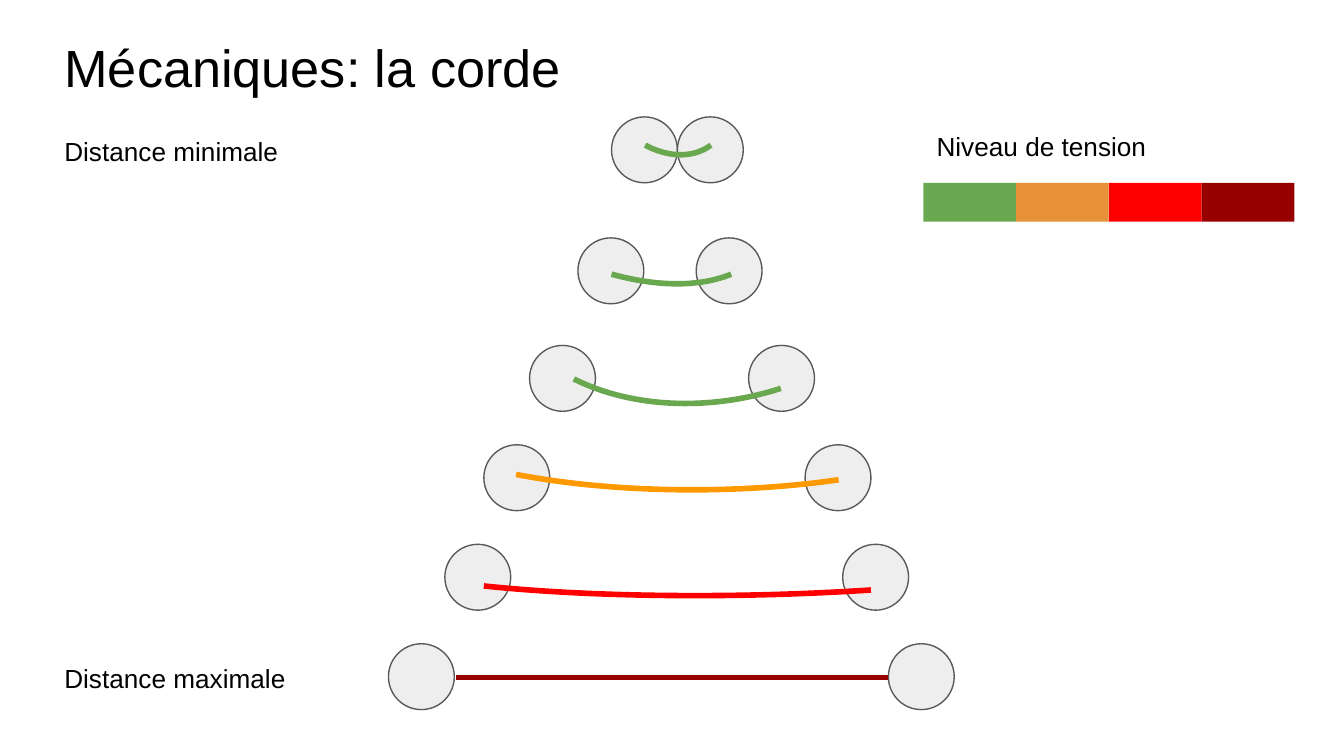
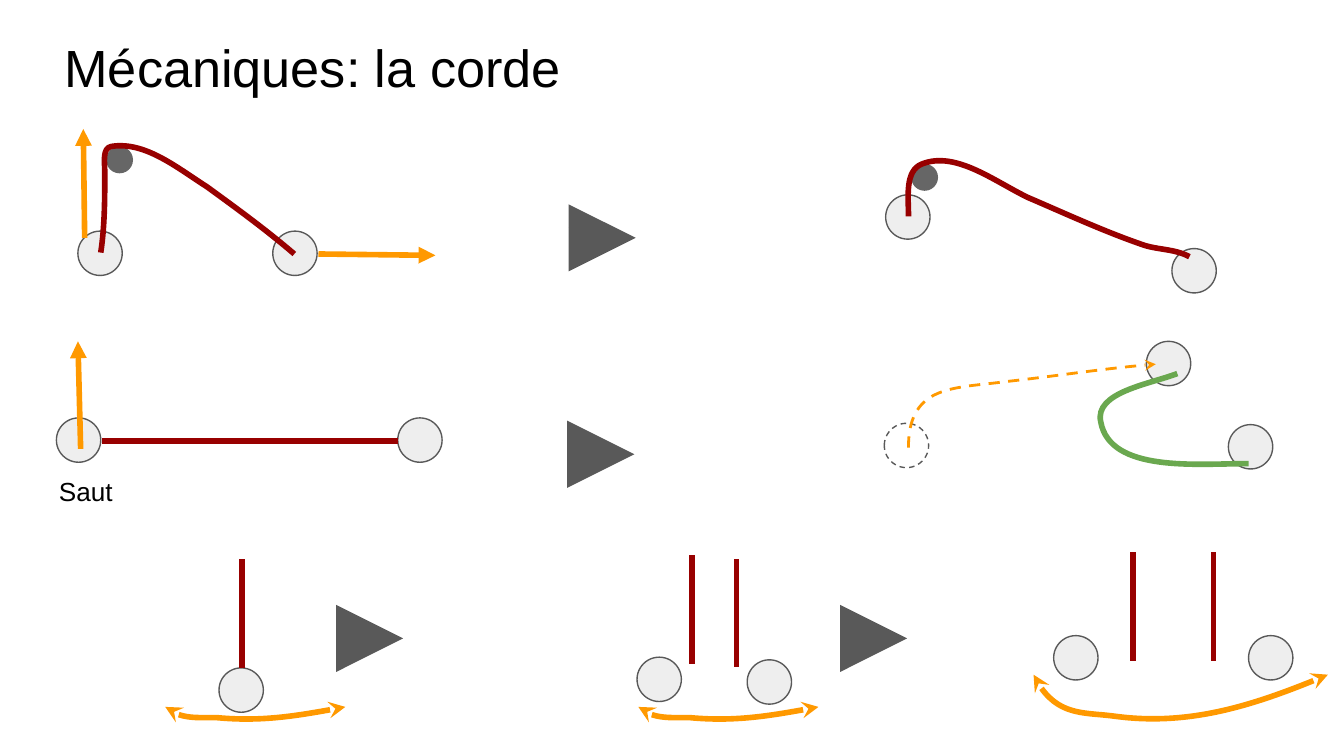
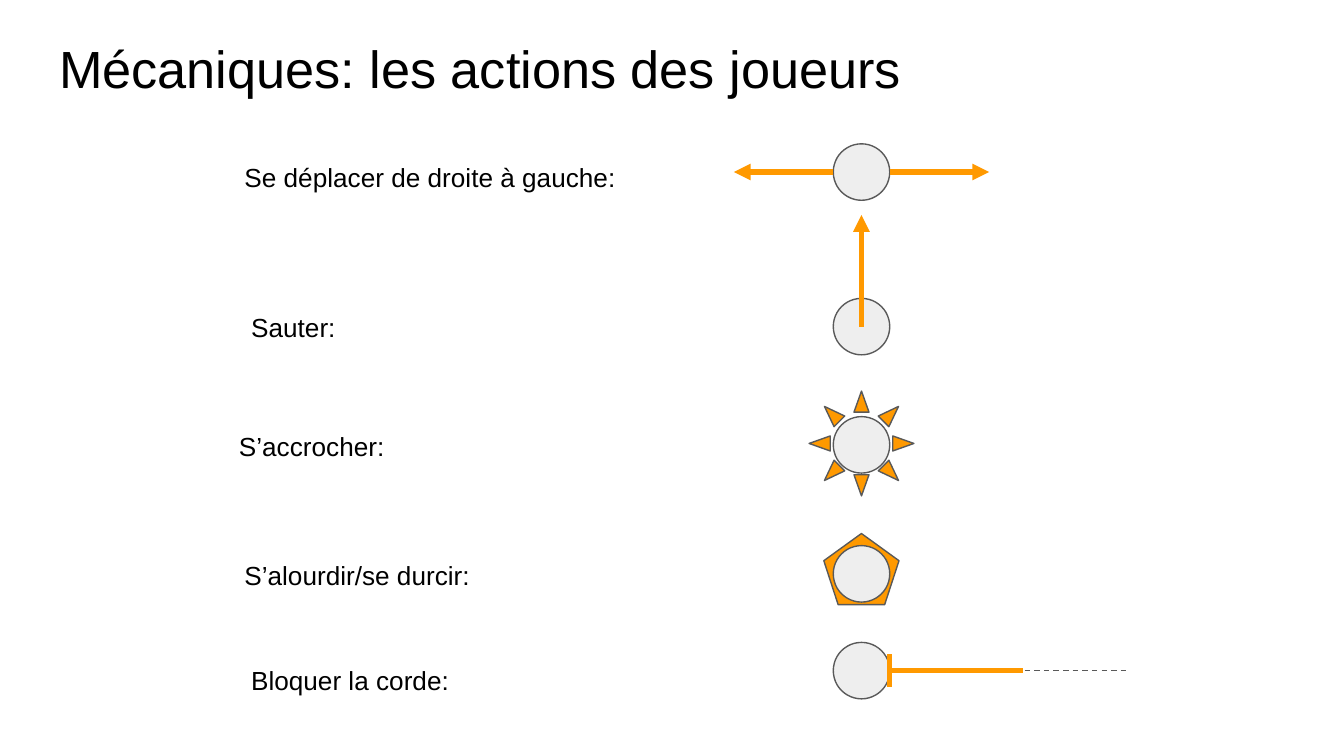
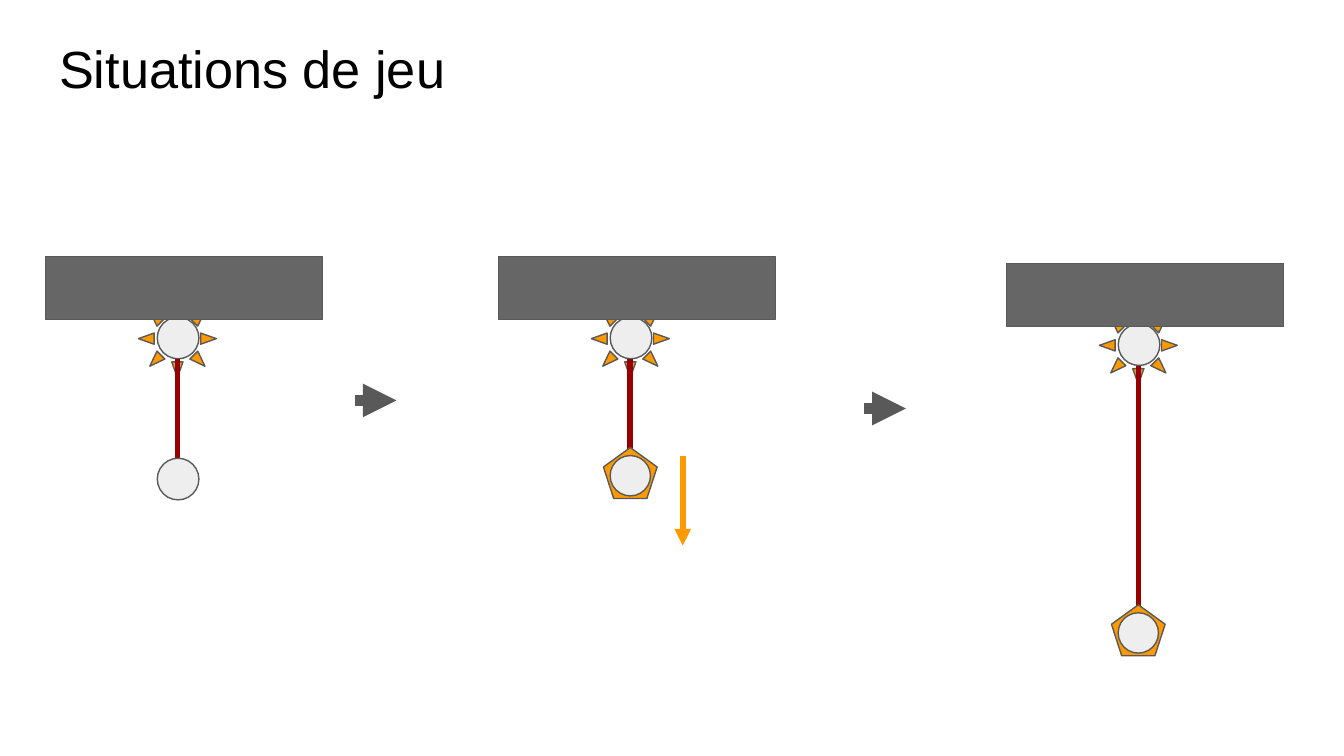
from dataclasses import dataclass
from typing import Any, NamedTuple, Optional

from lxml.etree import SubElement
from pptx import Presentation
from pptx.dml.color import RGBColor
from pptx.enum.dml import MSO_LINE
from pptx.enum.shapes import MSO_CONNECTOR, MSO_SHAPE
from pptx.enum.text import MSO_ANCHOR, MSO_AUTO_SIZE, PP_ALIGN
from pptx.oxml.ns import qn
from pptx.util import Inches, Pt


# Theme
@dataclass(frozen=True)
class Theme:
    font: str = "Arial"
    title_size: float = 28
    label_size: float = 14
    text: str = "000000"
    player: str = "EEEEEE"
    outline: str = "595959"
    solid: str = "666666"
    action: str = "FF9900"
    slack: str = "6AA84F"
    medium: str = "E69138"
    high: str = "FF0000"
    tight: str = "980000"
    thin: float = 0.75
    thick: float = 3


THEME = Theme()


class Box(NamedTuple):
    left: float
    top: float
    width: float
    height: float


class Stroke(NamedTuple):
    color: str
    width: float = THEME.thick
    head: Optional[str] = None
    tail: Optional[str] = None
    dashed: bool = False


class Label(NamedTuple):
    text: str
    box: Box


OUTLINE = Stroke(THEME.outline, THEME.thin)
DASHED = OUTLINE._replace(dashed=True)
ROPE = Stroke(THEME.tight)
SLACK_ROPE = Stroke(THEME.slack)
ARROW = Stroke(THEME.action, tail="triangle")
SWING = Stroke(THEME.action, head="stealth", tail="stealth")
Point = tuple[float, float]


# Drawing helpers
def apply(target: Any, values: dict[str, Any]) -> None:
    for name, value in values.items():
        setattr(target, name, value)


def place(shape: Any, box: Box) -> None:
    apply(shape, {name: Inches(value) for name, value in box._asdict().items()})


def set_stroke(shape: Any, stroke: Optional[Stroke]) -> None:
    if stroke is None:
        shape.line.fill.background()
        return
    shape.line.color.rgb = RGBColor.from_string(stroke.color)
    shape.line.width = Pt(stroke.width)
    if stroke.dashed:
        shape.line.dash_style = MSO_LINE.DASH
    outline = shape.line._get_or_add_ln()
    for tag, kind in (("a:headEnd", stroke.head), ("a:tailEnd", stroke.tail)):
        if kind:
            SubElement(outline, qn(tag), type=kind)


def set_fill(shape: Any, color: Optional[str]) -> None:
    if color is None:
        shape.fill.background()
    else:
        shape.fill.solid()
        shape.fill.fore_color.rgb = RGBColor.from_string(color)


def add_preset(page: Any, kind: MSO_SHAPE, box: Box, color: Optional[str],
               stroke: Optional[Stroke] = OUTLINE) -> None:
    shape = page.shapes.add_shape(kind, *map(Inches, box))
    shape.shadow.inherit = False
    set_fill(shape, color)
    set_stroke(shape, stroke)


def add_disc(page: Any, left: float, top: float, size: float,
             color: Optional[str] = THEME.player,
             stroke: Optional[Stroke] = OUTLINE) -> None:
    add_preset(page, MSO_SHAPE.OVAL, Box(left, top, size, size), color, stroke)


def add_line(page: Any, start: Point, end: Point, stroke: Stroke = ROPE) -> None:
    line = page.shapes.add_connector(MSO_CONNECTOR.STRAIGHT, *map(Inches, start + end))
    set_stroke(line, stroke)
    SubElement(line._element.spPr, qn("a:effectLst"))


def add_curve(page: Any, points: list[Point], stroke: Stroke = ROPE) -> None:
    """Draw a start point followed by groups of two handles and an end point."""
    start, *others = [(Inches(x), Inches(y)) for x, y in points]
    builder = page.shapes.build_freeform(*start)
    builder.add_line_segments(others, close=False)
    shape = builder.convert_to_shape()
    outline = next(shape._element.iter(qn("a:path")))
    segments = outline.findall(qn("a:lnTo"))
    for first in range(0, len(segments), 3):
        bend = SubElement(outline, qn("a:cubicBezTo"))
        for segment in segments[first:first + 3]:
            bend.append(segment[0])
            outline.remove(segment)
    shape.shadow.inherit = False
    set_fill(shape, None)
    set_stroke(shape, stroke)


def write(shape: Any, text: str, size: float) -> None:
    frame = shape.text_frame
    apply(frame, {
        "word_wrap": True, "auto_size": MSO_AUTO_SIZE.NONE,
        "vertical_anchor": MSO_ANCHOR.TOP,
        **{f"margin_{side}": Inches(0.1) for side in ("left", "top", "right", "bottom")},
    })
    para = frame.paragraphs[0]
    apply(para, {"alignment": PP_ALIGN.LEFT, "line_spacing": 1.0})
    span = para.add_run()
    span.text = text
    apply(span.font, {"name": THEME.font, "size": Pt(size)})
    span.font.color.rgb = RGBColor.from_string(THEME.text)


def add_label(page: Any, label: Label) -> None:
    box = page.shapes.add_textbox(*map(Inches, label.box))
    write(box, label.text, THEME.label_size)


def add_page(deck: Any, title: str, left: float, top: float) -> Any:
    page = deck.slides.add_slide(deck.slide_layouts[5])
    place(page.shapes.title, Box(left, top, 9.32, 0.63))
    write(page.shapes.title, title, THEME.title_size)
    return page


def add_sun(page: Any, left: float, top: float, size: float) -> None:
    add_preset(page, MSO_SHAPE.SUN, Box(left, top, size, size), THEME.action)


def add_pentagon(page: Any, box: Box) -> None:
    add_preset(page, MSO_SHAPE.REGULAR_PENTAGON, box, THEME.action)


# Slide 1: rope tension by distance
class Pair(NamedTuple):
    left: float
    right: float
    top: float
    color: str
    rope: list[Point]


def build_tension(deck: Any) -> None:
    page = add_page(deck, "Mécaniques: la corde", 0.38, 0.16)
    size = 0.49
    pairs = [
        Pair(4.55, 5.04, 0.87, THEME.slack,
             [(4.8, 1.08), (4.95, 1.16), (5.14, 1.19), (5.29, 1.08)]),
        Pair(4.3, 5.18, 1.77, THEME.slack,
             [(4.55, 2.04), (4.84, 2.12), (5.17, 2.15), (5.44, 2.04)]),
        Pair(3.94, 5.57, 2.57, THEME.slack,
             [(4.27, 2.82), (4.73, 3.05), (5.32, 3.05), (5.81, 2.89)]),
        Pair(3.6, 5.99, 3.31, THEME.action,
             [(3.84, 3.53), (4.56, 3.67), (5.48, 3.68), (6.24, 3.57)]),
        Pair(3.31, 6.27, 4.05, THEME.high,
             [(3.6, 4.36), (4.46, 4.45), (5.57, 4.45), (6.48, 4.39)]),
        Pair(2.89, 6.61, 4.79, THEME.tight, [(3.39, 5.04), (6.61, 5.04)]),
    ]
    for pair in pairs:
        for left in (pair.left, pair.right):
            add_disc(page, left, pair.top, size)
        if len(pair.rope) == 2:
            add_line(page, *pair.rope, Stroke(pair.color))
        else:
            add_curve(page, pair.rope, Stroke(pair.color))

    # Tension scale
    for step, color in enumerate((THEME.slack, THEME.medium, THEME.high, THEME.tight)):
        add_preset(page, MSO_SHAPE.RECTANGLE,
                   Box(6.87 + step * 0.69, 1.36, 0.69, 0.29), color, None)
    for label in (Label("Distance minimale", Box(0.38, 0.91, 1.95, 0.41)),
                  Label("Distance maximale", Box(0.38, 4.83, 1.95, 0.41)),
                  Label("Niveau de tension", Box(6.87, 0.87, 2.19, 0.41))):
        add_label(page, label)


# Slide 2: rope behaviour, before and after
def build_behaviour(deck: Any) -> None:
    page = add_page(deck, "Mécaniques: la corde", 0.38, 0.16)
    players = [(0.58, 1.72), (2.03, 1.72), (6.59, 1.45), (8.72, 1.85),
               (0.42, 3.11), (2.96, 3.11), (8.53, 2.54), (9.14, 3.16),
               (1.63, 4.97), (4.74, 4.89), (5.56, 4.91), (7.84, 4.73), (9.29, 4.73)]
    for left, top in players:
        add_disc(page, left, top, 0.33)
    add_disc(page, 6.58, 3.15, 0.33, None, DASHED)
    for left, top in ((0.79, 1.09), (6.78, 1.22)):
        add_disc(page, left, top, 0.2, THEME.solid, None)

    # Ropes over a peg, and a slack rope
    add_curve(page, [(0.75, 1.88), (0.78, 1.68), (0.78, 1.48), (0.78, 1.28),
                     (0.78, 1.21), (0.76, 1.1), (0.83, 1.09),
                     (1.08, 1.05), (1.32, 1.25), (1.54, 1.39),
                     (1.76, 1.55), (1.98, 1.71), (2.19, 1.89)])
    add_curve(page, [(6.76, 1.61), (6.76, 1.47), (6.73, 1.27), (6.86, 1.22),
                     (7.11, 1.12), (7.4, 1.35), (7.65, 1.47),
                     (7.93, 1.59), (8.21, 1.72), (8.5, 1.82),
                     (8.61, 1.86), (8.74, 1.85), (8.85, 1.91)])
    add_curve(page, [(8.76, 2.78), (8.55, 2.86), (8.14, 2.92), (8.19, 3.14),
                     (8.26, 3.52), (8.91, 3.45), (9.29, 3.45)], SLACK_ROPE)

    # Straight ropes
    add_line(page, (0.76, 3.28), (2.96, 3.28))
    for x, top, bottom in ((1.8, 4.16, 4.97), (5.15, 4.13, 4.94), (5.48, 4.16, 4.96),
                           (8.43, 4.11, 4.92), (9.03, 4.11, 4.92)):
        add_line(page, (x, top), (x, bottom))

    # Movements
    for start, end in (((2.37, 1.89), (3.24, 1.9)), ((0.63, 1.77), (0.62, 0.96)),
                       ((0.6, 3.34), (0.58, 2.54))):
        add_line(page, start, end, ARROW)
    add_curve(page, [(6.76, 3.33), (6.76, 3.21), (6.78, 3.07), (6.89, 2.98),
                     (7.02, 2.87), (7.27, 2.87), (7.48, 2.84),
                     (7.85, 2.8), (8.22, 2.74), (8.6, 2.71)],
              Stroke(THEME.action, 1.5, tail="stealth", dashed=True))
    swing = [(0, 5.26), (0.09, 5.35), (0.25, 5.34), (0.38, 5.34),
             (0.7, 5.37), (1.03, 5.32), (1.34, 5.26)]
    for left in (1.23, 4.75):
        add_curve(page, [(left + x, y) for x, y in swing], SWING)
    add_curve(page, [(7.69, 5.02), (7.84, 5.34), (8.09, 5.3), (8.3, 5.33),
                     (8.83, 5.4), (9.36, 5.24), (9.88, 5.02)], SWING)

    # Step arrows
    for left, y in ((4.23, 1.77), (4.22, 3.38), (2.5, 4.75), (6.25, 4.75)):
        add_line(page, (left, y), (left + 0.5, y),
                 Stroke(THEME.outline, 12, tail="triangle"))
    add_label(page, Label("Saut", Box(0.34, 3.44, 0.78, 0.44)))


# Slide 3: player actions
def build_actions(deck: Any) -> None:
    page = add_page(deck, "Mécaniques: les actions des joueurs", 0.34, 0.17)
    add_line(page, (6.62, 4.99), (8.38, 4.99), DASHED)
    add_sun(page, 6.02, 2.91, 0.78)
    add_pentagon(page, Box(6.13, 3.97, 0.56, 0.53))
    for top in (1.07, 2.22, 3.1, 4.06, 4.78):
        add_disc(page, 6.2, top, 0.42)
    for label in (Label("Se déplacer de droite à gauche:", Box(1.72, 1.1, 3.01, 0.42)),
                  Label("Sauter:", Box(1.77, 2.22, 0.92, 0.42)),
                  Label("S’accrocher:", Box(1.68, 3.1, 1.34, 0.42)),
                  Label("S’alourdir/se durcir:", Box(1.72, 4.06, 1.9, 0.42)),
                  Label("Bloquer la corde:", Box(1.77, 4.84, 1.9, 0.42))):
        add_label(page, label)
    for start, end in (((6.62, 1.28), (7.36, 1.28)), ((6.2, 1.28), (5.46, 1.28)),
                       ((6.41, 2.43), (6.41, 1.6))):
        add_line(page, start, end, ARROW)
    for start, end in (((6.62, 4.99), (7.61, 4.99)), ((6.62, 4.87), (6.62, 5.11))):
        add_line(page, start, end, Stroke(THEME.action))


# Slide 4: game situation in three steps
class Scene(NamedTuple):
    left: float
    top: float
    rope_end: float
    heavy: bool


def add_scene(page: Any, scene: Scene) -> None:
    left, top, rope_end, heavy = scene
    add_sun(page, left + 0.69, top + 0.32, 0.58)
    add_disc(page, left + 0.83, top + 0.45, 0.31)
    add_preset(page, MSO_SHAPE.RECTANGLE, Box(left, top, 2.06, 0.47), THEME.solid)
    add_line(page, (left + 0.98, top + 0.76), (left + 0.98, rope_end))
    if heavy:
        add_pentagon(page, Box(left + 0.78, rope_end - 0.07, 0.4, 0.38))
        add_disc(page, left + 0.83, rope_end - 0.01, 0.3)
    else:
        add_disc(page, left + 0.83, rope_end, 0.31)


def build_situations(deck: Any) -> None:
    page = add_page(deck, "Situations de jeu", 0.34, 0.17)
    for scene in (Scene(0.34, 1.91, 3.41, False), Scene(3.71, 1.91, 3.4, True),
                  Scene(7.49, 1.96, 4.57, True)):
        add_scene(page, scene)
    for left, y in ((2.64, 2.98), (6.43, 3.04)):
        add_line(page, (left, y), (left + 0.31, y),
                 Stroke(THEME.outline, 6, tail="triangle"))
    add_line(page, (5.08, 3.39), (5.08, 4.06), ARROW)


def main() -> None:
    deck = Presentation()
    # Widescreen, 16:9
    deck.slide_width = Inches(10)
    deck.slide_height = Inches(10) * 9 // 16
    for build in (build_tension, build_behaviour, build_actions, build_situations):
        build(deck)
    deck.save("out.pptx")


if __name__ == "__main__":
    main()
